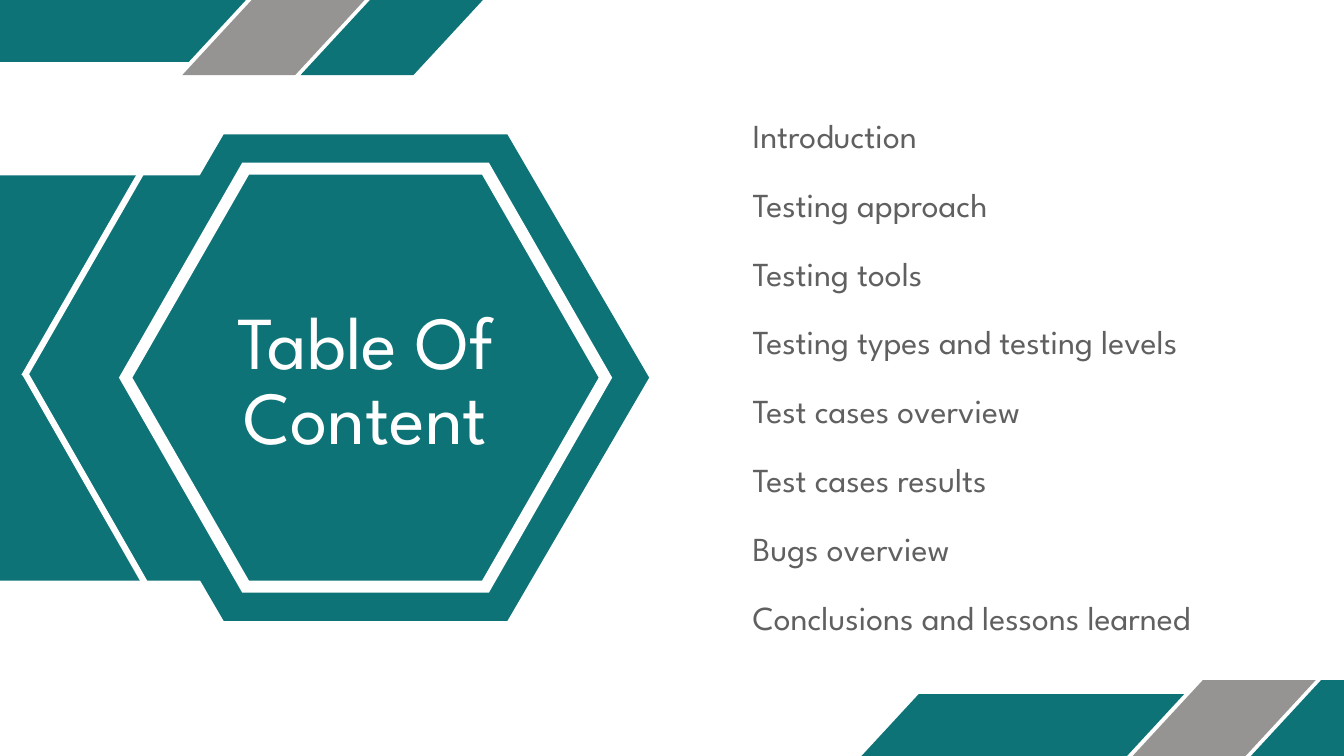
"""Build the table of content slide."""
import dataclasses

import pptx
import pptx.dml.color
import pptx.enum.shapes
import pptx.enum.text
import pptx.oxml
import pptx.oxml.ns
import pptx.util

Inches = pptx.util.Inches
Pt = pptx.util.Pt


@dataclasses.dataclass(frozen=True)
class Theme:
    font: str = "League Spartan"
    teal: str = "0D7377"
    grey: str = "969393"
    white: str = "FFFFFF"
    ink: str = "606060"
    title_size: float = 80
    title_spacing: float = 80
    item_size: float = 36
    item_spacing: float = 36.4
    line_width: float = 6.75


def rgb(color):
    return pptx.dml.color.RGBColor.from_string(color)


def hexagon(half_width, half_height):
    """Corners of a flat-topped hexagon around the badge centre."""
    x, y = BADGE_CENTRE
    half_edge = half_width / 2
    return [
        (x + half_width, y),
        (x + half_edge, y + half_height),
        (x - half_edge, y + half_height),
        (x - half_width, y),
        (x - half_edge, y - half_height),
        (x + half_edge, y - half_height),
    ]


class SlideBuilder:
    def __init__(self, slide, theme):
        self.slide = slide
        self.theme = theme

    def polygon(self, color, *outlines):
        builder = None
        for outline in outlines:
            points = [(Inches(x), Inches(y)) for x, y in outline]
            if builder is None:
                builder = self.slide.shapes.build_freeform(*points[0])
            else:
                builder.move_to(*points[0])
            builder.add_line_segments(points[1:], close=True)
        self.paint(builder.convert_to_shape(), color)

    def slanted_band(self, color, left, top, width, height, slant):
        right, bottom = left + width, top + height
        self.polygon(color, [(left + slant, top), (right, top),
                             (right - slant, bottom), (left, bottom)])

    def rectangle(self, color, left, top, width, height):
        shape = self.slide.shapes.add_shape(
            pptx.enum.shapes.MSO_SHAPE.RECTANGLE,
            Inches(left), Inches(top), Inches(width), Inches(height))
        self.paint(shape, color)

    def paint(self, shape, color):
        shape.shadow.inherit = False
        shape.fill.solid()
        shape.fill.fore_color.rgb = rgb(color)
        shape.line.fill.background()

    def line(self, start, end):
        connector = self.slide.shapes.add_connector(
            pptx.enum.shapes.MSO_CONNECTOR.STRAIGHT,
            *(Inches(value) for value in (*start, *end)))
        connector.line.color.rgb = rgb(self.theme.white)
        connector.line.width = Pt(self.theme.line_width)
        properties = connector._element.spPr
        properties.append(pptx.oxml.parse_xml(
            f"<a:effectLst {pptx.oxml.ns.nsdecls('a')}/>"))

    def text(self, words, left, top, width, height, size, spacing, color, align):
        box = self.slide.shapes.add_textbox(
            Inches(left), Inches(top), Inches(width), Inches(height))
        frame = box.text_frame
        frame.word_wrap = True
        frame.margin_left = frame.margin_right = 0
        frame.margin_top = frame.margin_bottom = 0
        para = frame.paragraphs[0]
        para.text = words
        para.alignment = align
        para.line_spacing = Pt(spacing)
        para.font.name = self.theme.font
        para.font.size = Pt(size)
        para.font.color.rgb = rgb(color)


BADGE_CENTRE = (5.44, 5.62)
CORNERS = [
    {"bar": (-1.14, 0), "stripes": (2.71, -0.21)},
    {"bar": (12.82, 10.33), "stripes": (16.67, 10.12)},
]
STRIPE_STEP = 1.76
ITEMS = [
    "Introduction",
    "Testing approach",
    "Testing tools",
    "Testing types and testing levels",
    "Test cases overview",
    "Test cases results",
    "Bugs overview",
    "Conclusions and lessons learned",
]
ITEM_TOP = 1.8
ITEM_STEP = 7.18 / (len(ITEMS) - 1)


def main():
    theme = Theme()
    align = pptx.enum.text.PP_ALIGN
    deck = pptx.Presentation()
    deck.slide_width, deck.slide_height = Inches(20), Inches(11.25)
    page = SlideBuilder(deck.slides.add_slide(deck.slide_layouts[6]), theme)

    page.polygon(theme.teal, hexagon(4.22, 3.62))
    page.rectangle(theme.teal, -0.37, 2.61, 7.15, 6.03)
    for corner in CORNERS:
        page.slanted_band(theme.teal, *corner["bar"], 4.8, 0.92, 0.85)
        left, top = corner["stripes"]
        for index, color in enumerate((theme.grey, theme.teal)):
            page.slanted_band(color, left + index * STRIPE_STEP, top,
                              2.91, 1.33, 1.23)

    page.polygon(theme.white, hexagon(3.67, 3.2), hexagon(3.47, 3.02)[::-1])
    page.line((2.17, 8.7), (0.37, 5.55))
    page.line((0.36, 5.6), (2.17, 2.45))

    page.text("Table Of Content", 2.08, 4.61, 6.72, 2.27, theme.title_size,
              theme.title_spacing, theme.white, align.CENTER)
    for index, item in enumerate(ITEMS):
        page.text(item, 11.2, ITEM_TOP + index * ITEM_STEP, 8.43, 0.53,
                  theme.item_size, theme.item_spacing, theme.ink, align.LEFT)

    deck.save("out.pptx")


if __name__ == "__main__":
    main()
